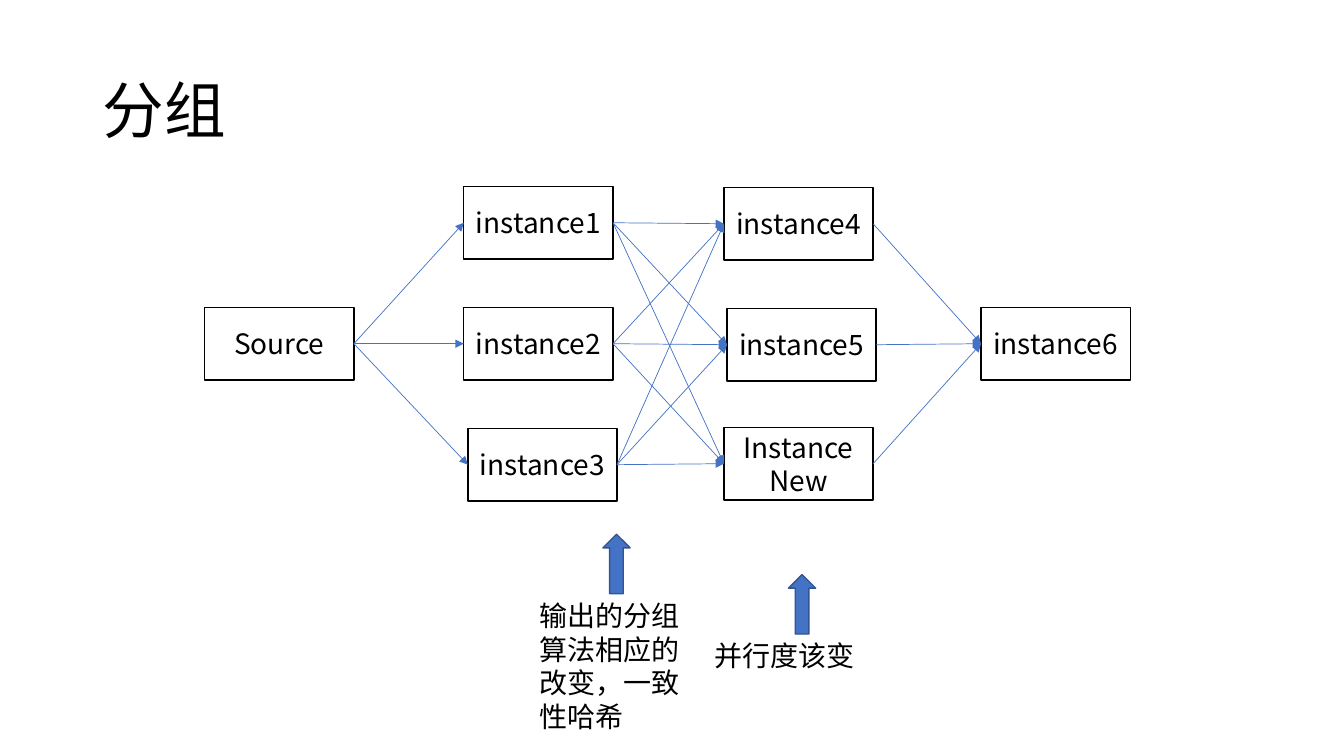
"""Build the grouping slide: a dataflow graph of instances with two notes."""
import dataclasses
import itertools

import lxml.etree
import pptx
import pptx.dml.color
import pptx.enum.shapes
import pptx.enum.text
import pptx.oxml.ns
import pptx.util

FONT = "Noto Sans CJK SC"
COLORS = {"ink": "000000", "paper": "FFFFFF", "accent": "4472C4", "edge": "325491"}
GRID_LEFT, GRID_TOP = 2.03, 1.85
COL_STEP, ROW_STEP = 2.57, 1.2
BOX_W, BOX_H = 1.48, 0.72
ARROW_W, ARROW_H = 0.27, 0.59
LEFT_SITE, RIGHT_SITE = 1, 3
ALIGN = pptx.enum.text.PP_ALIGN
ANCHOR = pptx.enum.text.MSO_ANCHOR
AUTO = pptx.enum.text.MSO_AUTO_SIZE
SHAPE = pptx.enum.shapes.MSO_SHAPE


@dataclasses.dataclass(frozen=True)
class Node:
    lines: tuple[str, ...]
    col: int
    row: int
    dx: float = 0
    dy: float = 0


@dataclasses.dataclass(frozen=True)
class Note:
    text: str
    left: float
    top: float
    width: float
    height: float
    arrow_left: float


NODES = [
    Node(("Source",), 0, 1),
    Node(("instance1",), 1, 0),
    Node(("instance2",), 1, 1),
    Node(("instance3",), 1, 2, dx=0.04),
    Node(("instance4",), 2, 0, 0.01, 0.01),
    Node(("instance5",), 2, 1, 0.04, 0.01),
    Node(("Instance", "New"), 2, 2, 0.01, -0.01),
    Node(("instance6",), 3, 1, dx=-0.01),
]
NOTES = [
    Note("输出的分组算法相应的改变，一致性哈希", 5.25, 5.89, 1.67, 1.45, 5.98),
    Note("并行度该变", 6.99, 6.29, 2.06, 0.44, 7.82),
]


def inches(*values: float) -> list[int]:
    """Convert lengths in inches to EMU."""
    return [pptx.util.Inches(v) for v in values]


def rgb(name: str) -> pptx.dml.color.RGBColor:
    """Look up a named colour."""
    return pptx.dml.color.RGBColor.from_string(COLORS[name])


def write(tf, lines: tuple[str, ...], size: float, align, anchor, spacing: float = 1) -> None:
    """Write one paragraph per line into a text frame."""
    tf.word_wrap = True
    tf.vertical_anchor = anchor
    for i, line in enumerate(lines):
        p = tf.add_paragraph() if i else tf.paragraphs[0]
        p.alignment, p.line_spacing = align, spacing
        r = p.add_run()
        r.text = line
        r.font.name, r.font.size = FONT, pptx.util.Pt(size)
        r.font.color.rgb = rgb("ink")
        ea = lxml.etree.SubElement(r.font._element, pptx.oxml.ns.qn("a:ea"))
        ea.set("typeface", FONT)


def add_box(s, kind, at: tuple[float, ...], fill: str, line: str):
    """Add a preset shape with a flat fill and a one-point outline."""
    sp = s.shapes.add_shape(kind, *inches(*at))
    sp.shadow.inherit = False
    sp.fill.solid()
    sp.fill.fore_color.rgb = rgb(fill)
    sp.line.color.rgb = rgb(line)
    sp.line.width = pptx.util.Pt(1)
    return sp


def add_node(s, node: Node):
    """Add a labelled box at its grid cell."""
    at = (GRID_LEFT + node.col * COL_STEP + node.dx,
          GRID_TOP + node.row * ROW_STEP + node.dy, BOX_W, BOX_H)
    sp = add_box(s, SHAPE.RECTANGLE, at, "paper", "ink")
    write(sp.text_frame, node.lines, 20, ALIGN.CENTER, ANCHOR.MIDDLE)
    return sp


def add_link(s, start, end) -> None:
    """Add an arrow from the right of one box to the left of another."""
    c = s.shapes.add_connector(pptx.enum.shapes.MSO_CONNECTOR.STRAIGHT, 0, 0, 0, 0)
    c.begin_connect(start, RIGHT_SITE)
    c.end_connect(end, LEFT_SITE)
    c.line.color.rgb = rgb("accent")
    c.line.width = pptx.util.Pt(0.5)
    tail = lxml.etree.SubElement(c.line._get_or_add_ln(), pptx.oxml.ns.qn("a:tailEnd"))
    tail.set("type", "triangle")
    lxml.etree.SubElement(c._element.spPr, pptx.oxml.ns.qn("a:effectLst"))


def add_note(s, note: Note) -> None:
    """Add a note with an up arrow standing on its top edge."""
    sp = s.shapes.add_textbox(*inches(note.left, note.top, note.width, note.height))
    write(sp.text_frame, (note.text,), 20, ALIGN.LEFT, ANCHOR.TOP)
    sp.text_frame.auto_size = AUTO.SHAPE_TO_FIT_TEXT
    at = (note.arrow_left, note.top - ARROW_H, ARROW_W, ARROW_H)
    add_box(s, SHAPE.UP_ARROW, at, "accent", "edge")


def main() -> None:
    """Build and save the slide."""
    prs = pptx.Presentation()
    prs.slide_width, prs.slide_height = inches(13.33, 7.5)
    s = prs.slides.add_slide(prs.slide_layouts.get_by_name("Title Only"))
    title = s.shapes.title
    title.left, title.top, title.width, title.height = inches(0.92, 0.4, 11.5, 1.45)
    write(title.text_frame, ("分组",), 44, ALIGN.LEFT, ANCHOR.MIDDLE, 0.9)
    title.text_frame.auto_size = AUTO.NONE

    layers = [[add_node(s, node) for node in group]
              for _, group in itertools.groupby(NODES, key=lambda node: node.col)]
    for sources, targets in itertools.pairwise(layers):
        for start, end in itertools.product(sources, targets):
            add_link(s, start, end)
    for note in NOTES:
        add_note(s, note)
    prs.save("out.pptx")


main()
